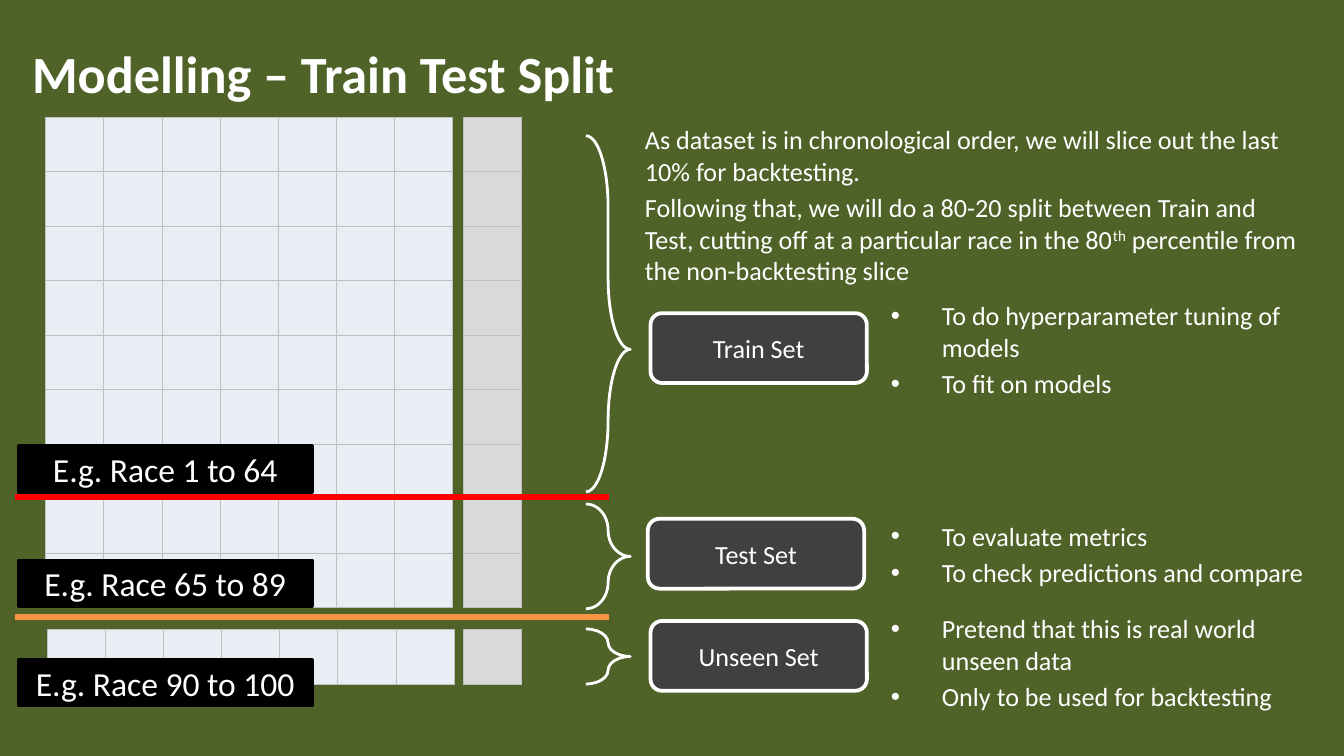
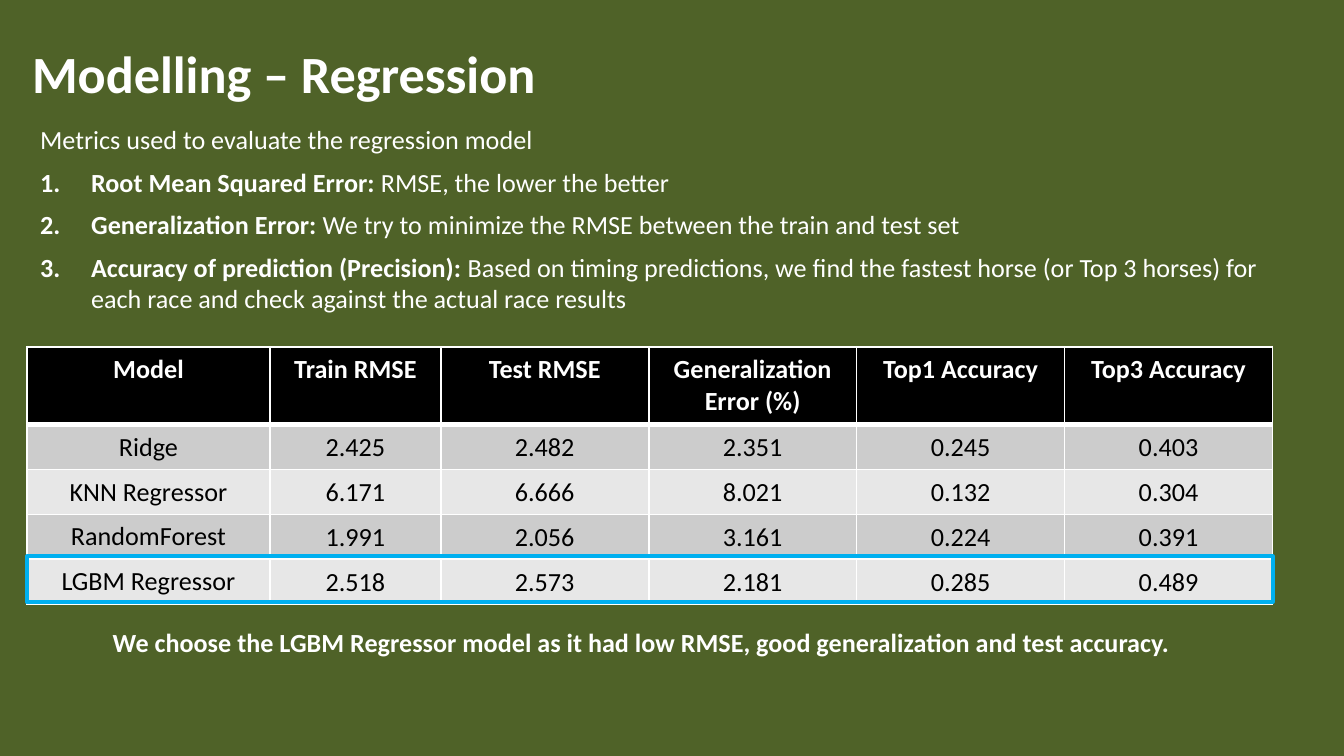
from lxml.etree import SubElement
from pptx import Presentation
from pptx.dml.color import RGBColor
from pptx.enum.shapes import MSO_CONNECTOR, MSO_SHAPE
from pptx.enum.text import MSO_ANCHOR, PP_ALIGN
from pptx.oxml.ns import qn
from pptx.util import Pt

PX = 9144  # 100 px to the inch
FONT = "Calibri"
C = {name: RGBColor.from_string(value) for name, value in {
    "green": "4F6228", "white": "FFFFFF", "black": "000000", "charcoal": "404040",
    "feature": "E9EDF4", "target": "D9D9D9", "rule": "BFBFBF", "red": "FF0000",
    "orange": "F79646", "blue": "00B0F0", "dark_row": "CCCCCC", "light_row": "E7E7E7",
}.items()}


def write(tf, paragraphs, size=14, color="white", bold=False, align=PP_ALIGN.LEFT,
          anchor=None, before=2.8, bullet=None, plain_first=False):
    """Each paragraph is a string or a list of (text, style) runs."""
    tf.word_wrap = True
    if anchor is not None:
        tf.vertical_anchor = anchor
    for i, runs in enumerate(paragraphs):
        p = tf.paragraphs[0] if i == 0 else tf.add_paragraph()
        p.alignment = align
        p.space_before = Pt(before if i else 0)
        if bullet and not (plain_first and i == 0):
            pPr = p._p.get_or_add_pPr()
            pPr.set("marL", str(38 * PX))
            pPr.set("indent", str(-38 * PX))
            if bullet == "1.":
                SubElement(pPr, qn("a:buAutoNum"), type="arabicPeriod")
            else:
                SubElement(pPr, qn("a:buFont"), typeface="Arial")
                SubElement(pPr, qn("a:buChar"), char=bullet)
        for text, style in [(runs, "")] if isinstance(runs, str) else runs:
            r = p.add_run()
            r.text = text
            r.font.name = FONT
            r.font.size = Pt(size)
            r.font.bold = bold or style == "bold"
            r.font.color.rgb = C[color]
            if style == "super":
                r._r.get_or_add_rPr().set("baseline", "30000")


def grid(s, x, y, cols, height, rows, fills, border, width, header_rule=None):
    """Add a table with ruled cells; cols are in EMU, fills repeat from row to row."""
    table = s.shapes.add_table(rows, len(cols), x * PX, y * PX, sum(cols), height * PX).table
    table.horz_banding = False
    table.first_row = header_rule is not None
    for column, w in zip(table.columns, cols):
        column.width = w
    for i, row in enumerate(table.rows):
        row.height = height * PX // rows
        for cell in row.cells:
            tcPr = cell._tc.get_or_add_tcPr()
            for side in ("lnL", "lnR", "lnT", "lnB"):
                at_header = header_rule and (i, side) in ((0, "lnB"), (1, "lnT"))
                ln = SubElement(tcPr, qn("a:" + side), w=str(Pt(header_rule if at_header else width)))
                SubElement(SubElement(ln, qn("a:solidFill")), qn("a:srgbClr"), val=str(C[border]))
            cell.fill.solid()
            cell.fill.fore_color.rgb = C[fills[i % len(fills)]]
    return table


prs = Presentation()
prs.slide_width = 1000 * PX
prs.slide_height = prs.slide_width * 9 // 16

# Shared background and title
slides = []
for title in ("Modelling – Train Test Split", "Modelling – Regression"):
    s = prs.slides.add_slide(prs.slide_layouts[6])
    s.background.fill.solid()
    s.background.fill.fore_color.rgb = C["green"]
    sp = s.shapes.add_textbox(14 * PX, 12 * PX, 902 * PX, 84 * PX)
    write(sp.text_frame, [title], size=28, bold=True, anchor=MSO_ANCHOR.MIDDLE)
    slides.append(s)

# Slide 1: dataset grids, features beside target
s = slides[0]
for x, y, columns, rows, height, fill in (
    (34, 87, 7, 9, 365, "feature"), (345, 87, 1, 9, 365, "target"),
    (35, 468, 7, 1, 41, "feature"), (345, 468, 1, 1, 41, "target"),
):
    grid(s, x, y, [303 * PX // 7] * columns, height, rows, [fill], "rule", 0.5)

# Text beside the grids
for x, y, w, h, bullet, paragraphs in (
    (470, 87, 509, 125, None, [
        "As dataset is in chronological order, we will slice out the last 10% for backtesting.",
        [("Following that, we will do a 80-20 split between Train and Test, cutting off at a "
          "particular race in the 80", ""), ("th", "super"),
         (" percentile from the non-backtesting slice", "")]]),
    (653, 218, 338, 94, "•", ["To do hyperparameter tuning of models", "To fit on models"]),
    (653, 382, 338, 60, "•", ["To evaluate metrics", "To check predictions and compare"]),
    (653, 451, 319, 115, "•", ["Pretend that this is real world unseen data",
                               "Only to be used for backtesting"]),
):
    sp = s.shapes.add_textbox(x * PX, y * PX, w * PX, h * PX)
    write(sp.text_frame, paragraphs, bullet=bullet)

# Cut-off lines
for y, color in ((370, "red"), (459, "orange")):
    line = s.shapes.add_connector(MSO_CONNECTOR.STRAIGHT, 11 * PX, y * PX, 453 * PX, y * PX)
    line.line.color.rgb = C[color]
    line.line.width = Pt(3)
    SubElement(line._element.spPr, qn("a:effectLst"))

# Braces
for y, h, tip in ((101, 265, 0.6), (375, 78, 0.5), (468, 41, 0.5)):
    sp = s.shapes.add_shape(MSO_SHAPE.RIGHT_BRACE, 436 * PX, y * PX, 33 * PX, h * PX)
    sp.adjustments[0], sp.adjustments[1] = 1.87, tip
    sp.shadow.inherit = False
    sp.fill.background()
    sp.line.color.rgb = C["white"]
    sp.line.width = Pt(1.5)

# Set boxes and race labels
SET = (MSO_SHAPE.ROUNDED_RECTANGLE, 161, 52, 14, "charcoal", "white")
RACE = (MSO_SHAPE.RECTANGLE, 218, 34, 18, "black", "black")
for (kind, w, h, size, fill, edge), x, y, text in (
    (SET, 484, 233, "Train Set"), (SET, 482, 386, "Test Set"), (SET, 484, 462, "Unseen Set"),
    (RACE, 14, 332, "E.g. Race 1 to 64"), (RACE, 14, 417, "E.g. Race 65 to 89"),
    (RACE, 14, 491, "E.g. Race 90 to 100"),
):
    sp = s.shapes.add_shape(kind, x * PX, y * PX, w * PX, h * PX)
    sp.shadow.inherit = False
    sp.fill.solid()
    sp.fill.fore_color.rgb = C[fill]
    sp.line.color.rgb = C[edge]
    sp.line.width = Pt(2)
    tf = sp.text_frame
    tf.margin_left = tf.margin_right = tf.margin_top = tf.margin_bottom = 0
    write(tf, [text], size=size, align=PP_ALIGN.CENTER, anchor=MSO_ANCHOR.MIDDLE)

# Slide 2: metrics
s = slides[1]
sp = s.shapes.add_textbox(20 * PX, 87 * PX, 944 * PX, 257 * PX)
write(sp.text_frame, [
    "Metrics used to evaluate the regression model",
    [("Root Mean Squared Error: ", "bold"), ("RMSE, the lower the better", "")],
    [("Generalization Error: ", "bold"),
     ("We try to minimize the RMSE between the train and test set", "")],
    [("Accuracy of prediction (Precision): ", "bold"),
     ("Based on timing predictions, we find the fastest horse (or Top 3 horses) for each race "
      "and check against the actual race results", "")],
], before=6, bullet="1.", plain_first=True)

# Results table
results = [
    ("Model", "Train RMSE", "Test RMSE", "Generalization Error (%)", "Top1 Accuracy", "Top3 Accuracy"),
    ("Ridge", "2.425", "2.482", "2.351", "0.245", "0.403"),
    ("KNN Regressor", "6.171", "6.666", "8.021", "0.132", "0.304"),
    ("RandomForest", "1.991", "2.056", "3.161", "0.224", "0.391"),
    ("LGBM Regressor", "2.518", "2.573", "2.181", "0.285", "0.489"),
]
cols = [181 * PX, 127 * PX] + [(927 - 181 - 127) * PX // 4] * 4
table = grid(s, 20, 258, cols, 190, len(results),
             ["black"] + ["dark_row", "light_row"] * 2, "white", 1, header_rule=3)
for i, values in enumerate(results):
    table.rows[i].height = (33 if i else 58) * PX
    for j, value in enumerate(values):
        cell = table.cell(i, j)
        if i:
            cell.vertical_anchor = MSO_ANCHOR.MIDDLE
        if i and j:
            cell.margin_left = cell.margin_right = cell.margin_top = PX
            cell.margin_bottom = 0
        write(cell.text_frame, [value], color="black" if i else "white", bold=i == 0,
              align=PP_ALIGN.CENTER)

# Highlight and conclusion
sp = s.shapes.add_shape(MSO_SHAPE.RECTANGLE, 20 * PX, 414 * PX, 927 * PX, 34 * PX)
sp.shadow.inherit = False
sp.fill.background()
sp.line.color.rgb = C["blue"]
sp.line.width = Pt(2)
sp = s.shapes.add_textbox(74 * PX, 461 * PX, 838 * PX, 54 * PX)
write(sp.text_frame, ["We choose the LGBM Regressor model as it had low RMSE, "
                      "good generalization and test accuracy."], bold=True)

prs.save("out.pptx")
